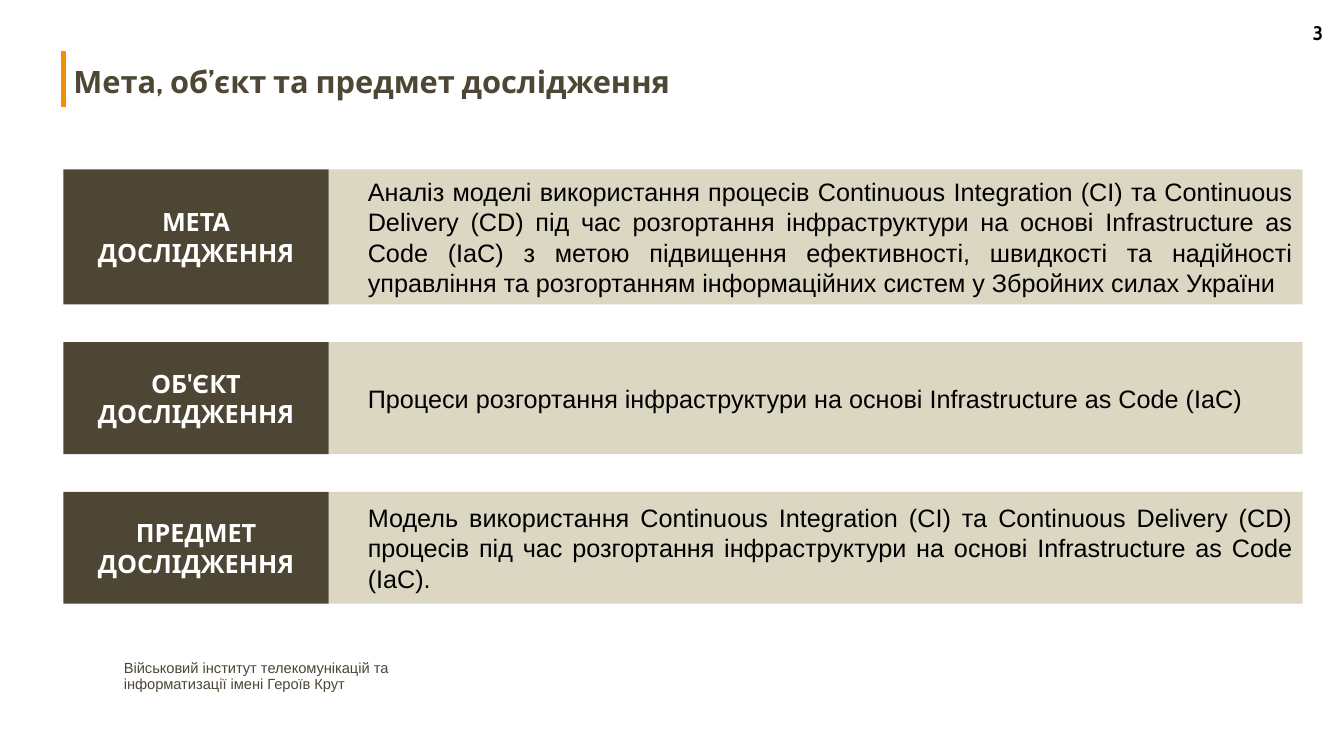
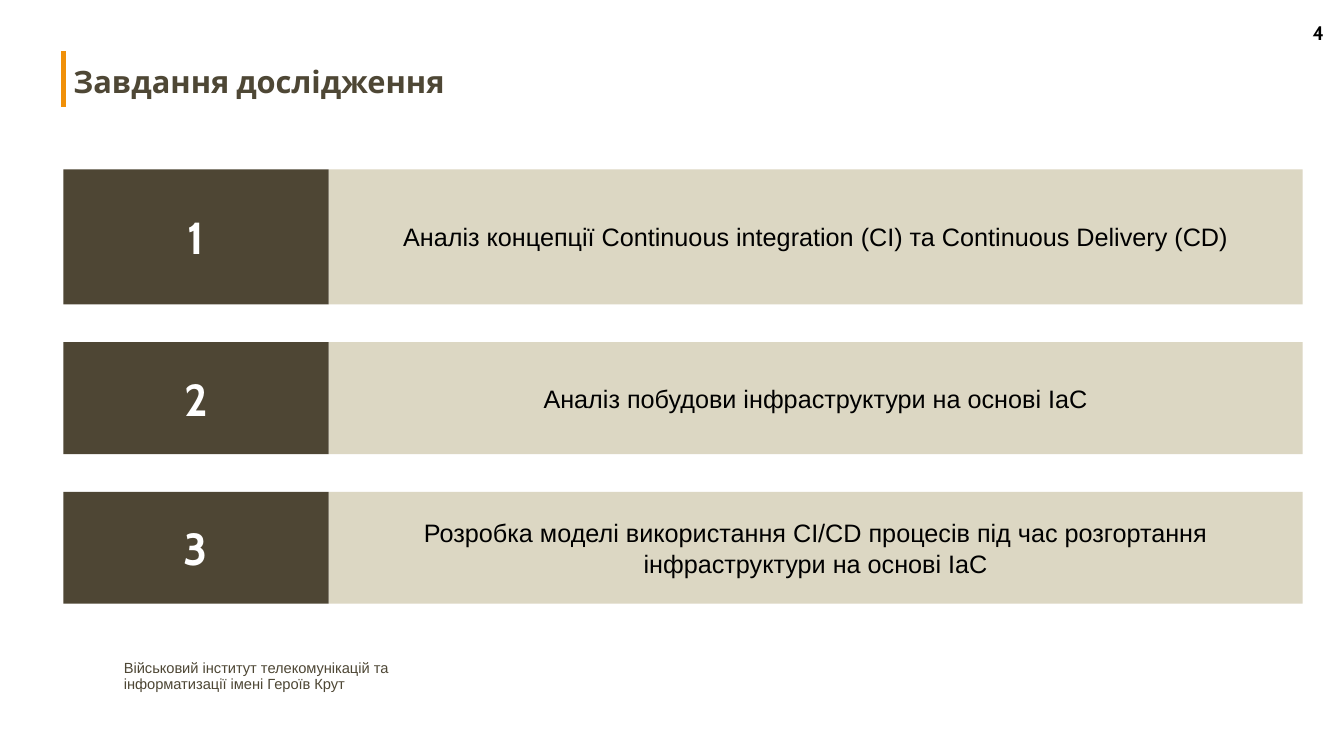
"""Build two slides on the aim and the tasks of a study."""
import lxml.etree
import pptx
import pptx.dml.color
import pptx.enum.shapes
import pptx.enum.text
import pptx.oxml.ns
import pptx.util

Inches = pptx.util.Inches
Pt = pptx.util.Pt
RGB = pptx.dml.color.RGBColor
ALIGN = pptx.enum.text.PP_ALIGN
ANCHOR = pptx.enum.text.MSO_ANCHOR
FIT = pptx.enum.text.MSO_AUTO_SIZE

BROWN = RGB(0x4E, 0x46, 0x34)
INK = RGB(0x4E, 0x47, 0x35)
SAND = RGB(0xDC, 0xD7, 0xC3)
ORANGE = RGB(0xF0, 0x90, 0x09)
WHITE = RGB(0xFF, 0xFF, 0xFF)
BLACK = RGB(0x00, 0x00, 0x00)

TITLE = {"name": "Cabin", "size": Pt(22), "bold": True, "color": INK}
FOOTER = {"name": "Arial", "size": Pt(10.5), "color": INK}
PAGE = {"name": "Cabin", "size": Pt(14), "bold": True, "color": BLACK}
LABEL = {"name": "Cabin", "size": Pt(18), "bold": True, "color": WHITE}
DIGIT = {**LABEL, "size": Pt(32)}
BODY = {"name": "Arial", "size": Pt(18), "color": BLACK}

STACK = (0.63, 1.68, 12.29, 4.31)
HEIGHTS = (1.34, 1.11, 1.11)
SIDE = 2.63
INSTITUTE = "Військовий інститут телекомунікацій та інформатизації імені Героїв Крут"

AIMS = [
    ("МЕТА ДОСЛІДЖЕННЯ",
     "Аналіз моделі використання процесів Continuous Integration (CI) та "
     "Continuous Delivery (CD) під час розгортання інфраструктури на основі "
     "Infrastructure as Code (IaC) з метою підвищення ефективності, швидкості "
     "та надійності управління та розгортанням інформаційних систем у "
     "Збройних силах України"),
    ("ОБ'ЄКТ ДОСЛІДЖЕННЯ",
     "Процеси розгортання інфраструктури на основі Infrastructure as Code (IaC)"),
    ("ПРЕДМЕТ ДОСЛІДЖЕННЯ",
     "Модель використання Continuous Integration (CI) та Continuous Delivery (CD) "
     "процесів під час розгортання інфраструктури на основі "
     "Infrastructure as Code (IaC)."),
]
TASKS = [
    ("1", "Аналіз концепції Continuous integration (CI) та Continuous Delivery (CD)"),
    ("2", "Аналіз побудови інфраструктури на основі IaC"),
    ("3", "Розробка моделі використання CI/CD процесів під час розгортання "
          "інфраструктури на основі IaC"),
]


def write(shape, text, font, frame=None, para=None):
    """Put styled text in a shape and return its paragraph."""
    body = shape.text_frame
    for key, value in {"word_wrap": True, **(frame or {})}.items():
        setattr(body, key, value)
    line = body.paragraphs[0]
    for key, value in (para or {}).items():
        setattr(line, key, value)
    run = line.add_run()
    run.text = text
    for key, value in font.items():
        if key == "color":
            run.font.color.rgb = value
        else:
            setattr(run.font, key, value)
    return line


def label(slide, box, text, font, frame=None, para=None):
    """Add a text box."""
    shape = slide.shapes.add_textbox(*map(Inches, box))
    write(shape, text, font, frame, para)


def panel(slide, box, fill, text, font, align, indent=0):
    """Add a filled rectangle with text centred in its height."""
    kind = pptx.enum.shapes.MSO_SHAPE.RECTANGLE
    shape = slide.shapes.add_shape(kind, *map(Inches, box))
    shape.shadow.inherit = False
    shape.fill.solid()
    shape.fill.fore_color.rgb = fill
    shape.line.fill.background()
    sides = ("left", "top", "right", "bottom")
    frame = {f"margin_{side}": Inches(0.1) for side in sides}
    frame["vertical_anchor"] = ANCHOR.MIDDLE
    line = write(shape, text, font, frame, {"alignment": align})
    if indent:
        props = line._p.get_or_add_pPr()
        props.set("marL", str(Inches(indent)))
        props.set("indent", "0")


def header(slide, box, text):
    """Add the title with the accent rule on its left."""
    left, top, width, height = box
    ends = (left, top - 0.1, left, top + height - 0.1)
    kind = pptx.enum.shapes.MSO_CONNECTOR.STRAIGHT
    rule = slide.shapes.add_connector(kind, *map(Inches, ends))
    rule.line.color.rgb = ORANGE
    rule.line.width = Pt(3)
    props = rule._element.spPr
    lxml.etree.SubElement(props, pptx.oxml.ns.qn("a:effectLst"))
    label(slide, box, text, TITLE, para={"line_spacing": 0.9})


def stack(slide, box, rows, font, align, indent):
    """Spread the rows evenly down the box."""
    left, top, width, height = box
    gap = (height - sum(HEIGHTS)) / (len(HEIGHTS) - 1)
    for (name, text), high in zip(rows, HEIGHTS):
        panel(slide, (left + SIDE, top, width - SIDE, high), SAND,
              text, BODY, align, indent)
        panel(slide, (left, top, SIDE, high), BROWN, name, font, ALIGN.CENTER)
        top += high + gap


def page(deck, number, title, rows, font, align, indent=0):
    """Add one slide with title, rows, footer and number."""
    slide = deck.slides.add_slide(deck.slide_layouts[6])
    label(slide, (1.13, 6.51, 2.95, 0.75), INSTITUTE, FOOTER,
          para={"line_spacing": 0.9})
    header(slide, (0.63, 0.61, 10, 0.55), title)
    stack(slide, STACK, rows, font, align, indent)
    label(slide, (12.92, 0.16, 0.29, 0.34), str(number), PAGE,
          {"word_wrap": False, "auto_size": FIT.SHAPE_TO_FIT_TEXT})


def main():
    """Build and save the deck."""
    deck = pptx.Presentation()
    deck.slide_width = Inches(13.33)
    deck.slide_height = Inches(7.5)
    page(deck, 3, "Мета, об’єкт та предмет дослідження", AIMS,
         LABEL, ALIGN.JUSTIFY, 0.29)
    page(deck, 4, "Завдання дослідження", TASKS, DIGIT, ALIGN.CENTER)
    deck.save("out.pptx")


if __name__ == "__main__":
    main()
